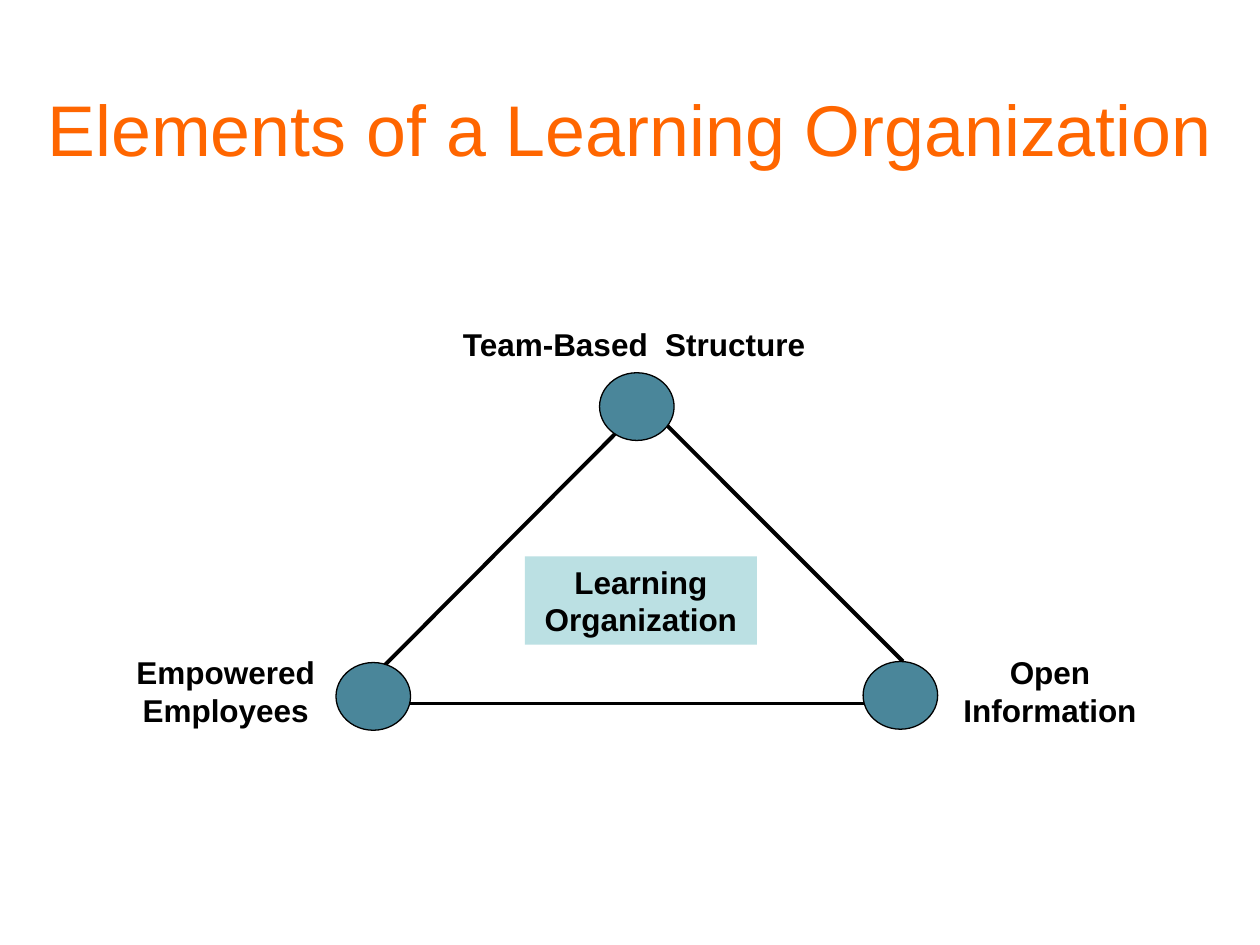
from pptx import Presentation
from pptx.dml.color import RGBColor
from pptx.enum.shapes import MSO_CONNECTOR, MSO_SHAPE
from pptx.enum.text import MSO_ANCHOR, PP_ALIGN
from pptx.oxml.ns import qn
from pptx.util import Inches, Pt
from lxml.etree import SubElement

COLS, ROWS = 120, 90
WIDE, HIGH = Inches(10), Inches(7.5)
INKS = {"title": "FF6600", "text": "000000", "line": "000000",
        "node": "4A869A", "core": "BBE0E3"}


def ink(name):
    """Return the named colour."""
    return RGBColor.from_string(INKS[name])


def grid(box, x, y):
    """Turn columns and rows inside a box into slide lengths."""
    return round((box[0] + x) * WIDE / COLS), round((box[1] + y) * HIGH / ROWS)


def area(box, x, y, w, h):
    """Return left, top, width and height of a part of a box."""
    return *grid(box, x, y), *grid((0, 0), w, h)


def write(slide, words, spot, size=18, color="text", bold=True, fill=None,
          anchor=MSO_ANCHOR.TOP):
    """Add centred, wrapped text at a spot."""
    item = slide.shapes.add_textbox(*spot)
    if fill:
        item.fill.solid()
        item.fill.fore_color.rgb = ink(fill)
    frame = item.text_frame
    frame.word_wrap = True
    frame.vertical_anchor = anchor
    para = frame.paragraphs[0]
    para.alignment = PP_ALIGN.CENTER
    run = para.add_run()
    run.text = words
    run.font.name, run.font.size, run.font.bold = "Arial", Pt(size), bold
    run.font.color.rgb = ink(color)


def edge(slide, start, end):
    """Draw one straight side of the triangle."""
    line = slide.shapes.add_connector(MSO_CONNECTOR.STRAIGHT, *start, *end)
    line.line.color.rgb = ink("line")
    line.line.width = Pt(2.25)
    SubElement(line._element.spPr, qn("a:effectLst"))


def node(slide, spot):
    """Draw one corner of the triangle."""
    dot = slide.shapes.add_shape(MSO_SHAPE.OVAL, *spot)
    dot.shadow.inherit = False
    dot.fill.solid()
    dot.fill.fore_color.rgb = ink("node")
    dot.line.color.rgb = ink("line")
    dot.line.width = Pt(0.75)


def heading(slide, box):
    """Place the slide title across its box."""
    write(slide, "Elements of a Learning Organization", area(box, 0, 0, *box[2:]),
          size=41, color="title", bold=False, anchor=MSO_ANCHOR.MIDDLE)


def model(slide, box):
    """Place the triangle, its core and its labelled corners."""
    sides = [((48.6, 10.3), (25, 34)), ((52, 10), (75, 33)), ((27, 37), (73, 37))]
    for start, end in sides:
        edge(slide, grid(box, *start), grid(box, *end))
    write(slide, "Learning Organization", area(box, 39, 23, 22.1, 8.4), fill="core")
    labels = [("Open Information", 78, 31.6, 22, 8.4),
              ("Empowered Employees", 0, 31.6, 21, 8.4),
              ("Team-Based  Structure", 30.5, 0.4, 37.8, 4.8)]
    for words, *part in labels:
        write(slide, words, area(box, *part))
    for x, y in [(21, 33.1), (46.1, 5.5), (71.2, 33)]:
        node(slide, area(box, x, y, 7.1, 6.45))


def main():
    """Build and save the slide."""
    deck = Presentation()
    deck.slide_width, deck.slide_height = WIDE, HIGH
    slide = deck.slides.add_slide(deck.slide_layouts[6])
    heading(slide, (2.4, 6.2, 115.3, 12))
    model(slide, (11, 30, 100, 40))
    deck.save("out.pptx")


if __name__ == "__main__":
    main()
